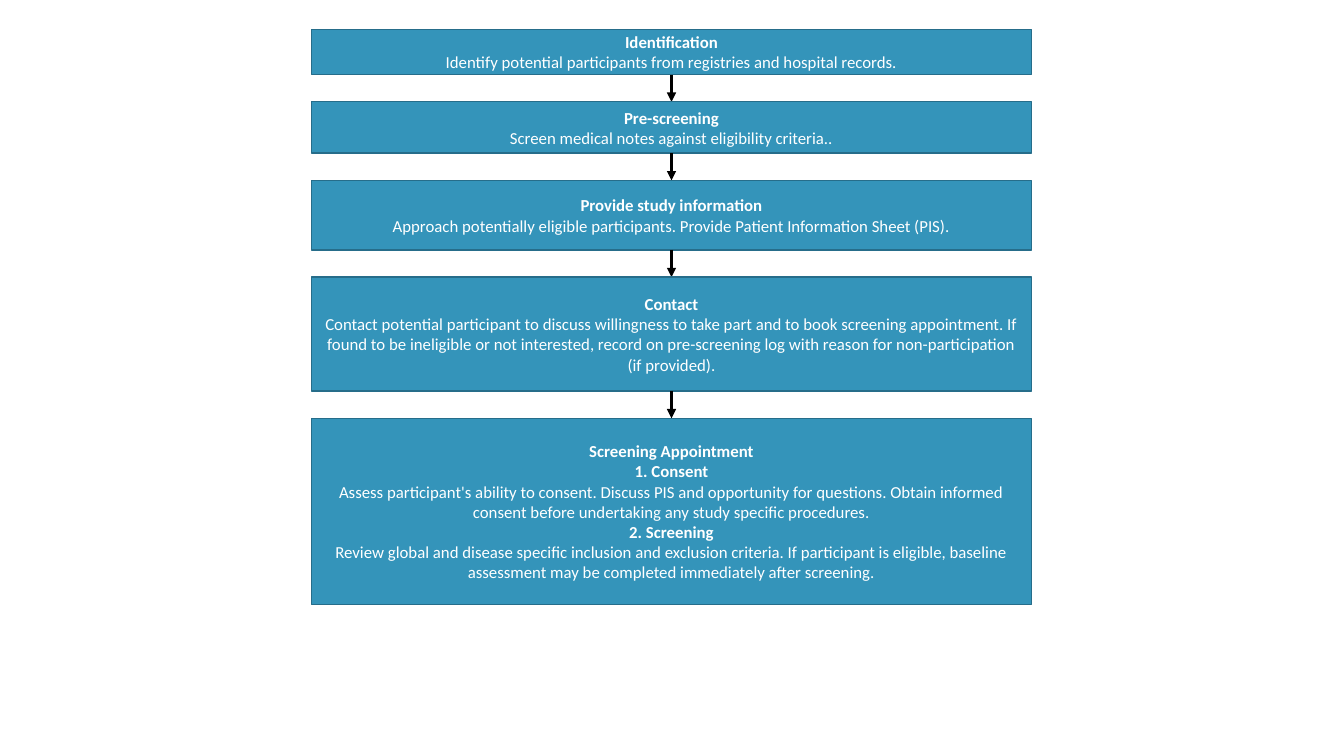
from lxml import etree
from pptx import Presentation
from pptx.dml.color import RGBColor
from pptx.enum import shapes, text
from pptx.oxml import ns
from pptx.util import Inches, Pt

STEP_FILL = RGBColor(0x34, 0x94, 0xBA)
STEP_EDGE = RGBColor(0x26, 0x6D, 0x8A)
WHITE = RGBColor(0xFF, 0xFF, 0xFF)
BLACK = RGBColor(0x00, 0x00, 0x00)

FLOW_LEFT, FLOW_TOP, FLOW_WIDTH = 3.09, 0.29, 7.14
ARROW_LENGTH = 0.27
TEXT_FORMAT = {"name": "Calibri", "size": Pt(12)}

STEPS = [
    (0.45, [
        ("Identification", True),
        ("Identify potential participants from registries and hospital records.", False),
    ]),
    (0.51, [
        ("Pre-screening", True),
        ("Screen medical notes against eligibility criteria..", False),
    ]),
    (0.69, [
        ("Provide study information", True),
        ("Approach potentially eligible participants. "
         "Provide Patient Information Sheet (PIS).", False),
    ]),
    (1.13, [
        ("Contact", True),
        ("Contact potential participant to discuss willingness to take part and to book "
         "screening appointment. If found to be ineligible or not interested, record on "
         "pre-screening log with reason for non-participation (if provided).", False),
    ]),
    (1.85, [
        ("Screening Appointment", True),
        ("1. Consent", True),
        ("Assess participant's ability to consent. Discuss PIS and opportunity for "
         "questions. Obtain informed consent before undertaking any study specific "
         "procedures.", False),
        ("2. Screening", True),
        ("Review global and disease specific inclusion and exclusion criteria. If "
         "participant is eligible, baseline assessment may be completed immediately "
         "after screening.", False),
    ]),
]


def add_step(page, left, top, width, height, lines):
    """Draw one step box with its centred heading and body lines."""
    box = page.shapes.add_shape(
        shapes.MSO_SHAPE.RECTANGLE, *map(Inches, (left, top, width, height)))
    box.shadow.inherit = False
    box.fill.solid()
    box.fill.fore_color.rgb = STEP_FILL
    box.line.color.rgb = STEP_EDGE
    box.line.width = Pt(1)
    frame = box.text_frame
    frame.word_wrap = True
    frame.vertical_anchor = text.MSO_ANCHOR.MIDDLE
    for index, (words, bold) in enumerate(lines):
        para = frame.add_paragraph() if index else frame.paragraphs[0]
        para.alignment = text.PP_ALIGN.CENTER
        span = para.add_run()
        span.text = words
        for name, value in {**TEXT_FORMAT, "bold": bold}.items():
            setattr(span.font, name, value)
        span.font.color.rgb = WHITE


def add_down_arrow(page, center, top, length):
    """Draw a vertical arrow downwards from the given point."""
    arrow = page.shapes.add_connector(
        shapes.MSO_CONNECTOR.STRAIGHT,
        *map(Inches, (center, top, center, top + length)))
    arrow.line.color.rgb = BLACK
    arrow.line.width = Pt(2.25)
    etree.SubElement(arrow.line._get_or_add_ln(), ns.qn("a:tailEnd"), type="triangle")
    etree.SubElement(arrow._element.spPr, ns.qn("a:effectLst"))


def add_flow(page, left, top, width):
    """Stack the steps downwards and join each one to the next."""
    for index, (height, lines) in enumerate(STEPS):
        if index:
            add_down_arrow(page, left + width / 2, top, ARROW_LENGTH)
            top += ARROW_LENGTH
        add_step(page, left, top, width, height, lines)
        top += height


def main():
    """Build the recruitment flow slide and save it."""
    deck = Presentation()
    deck.slide_width, deck.slide_height = Inches(13.33), Inches(7.5)
    page = deck.slides.add_slide(deck.slide_layouts[6])
    add_flow(page, FLOW_LEFT, FLOW_TOP, FLOW_WIDTH)
    deck.save("out.pptx")


if __name__ == "__main__":
    main()
